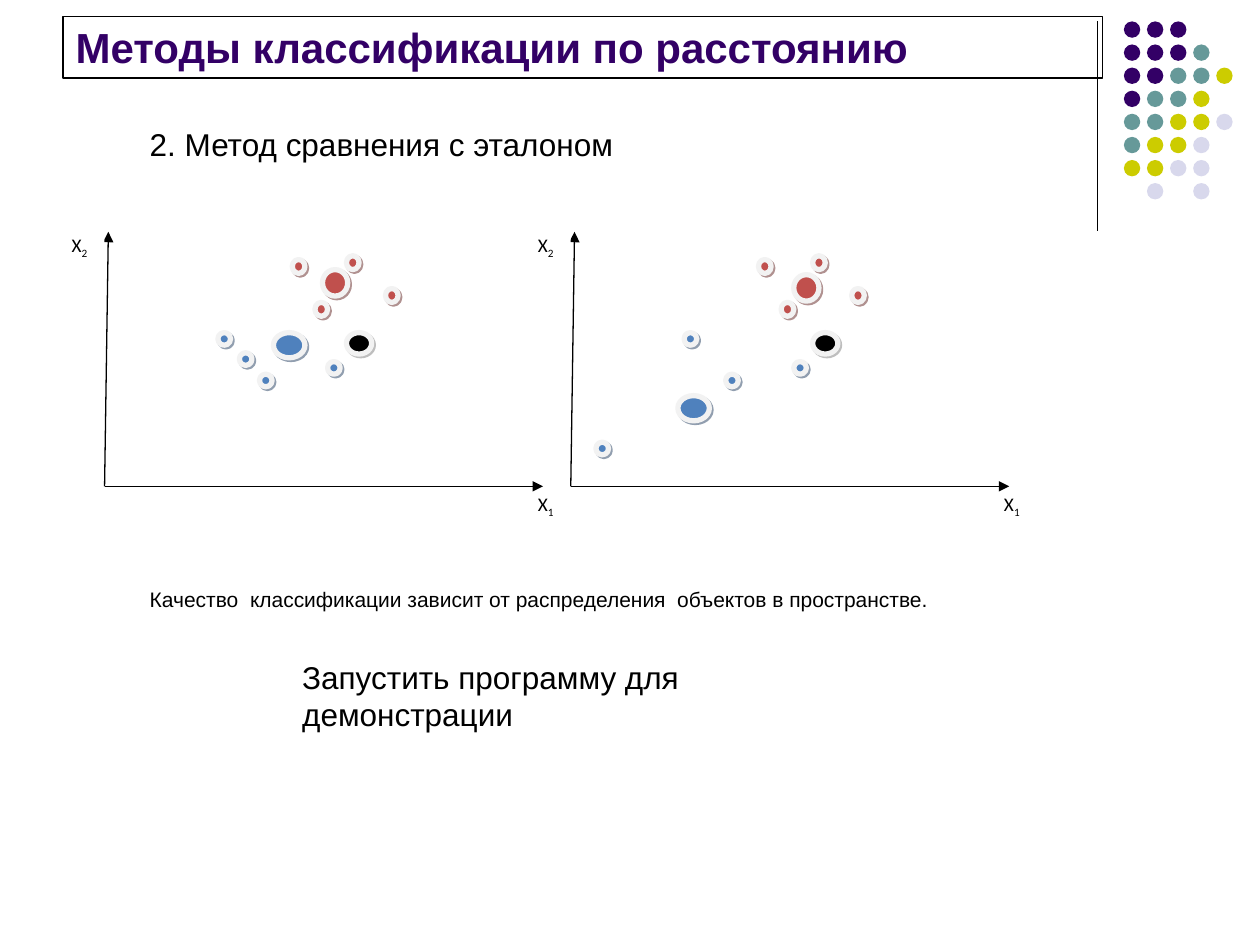
from lxml import etree
from pptx import Presentation
from pptx import util as u
from pptx.dml.color import RGBColor
from pptx.enum import shapes as sh, text as tx
from pptx.oxml.ns import qn

INK, RED, BLUE = "000000", "C0504D", "4F81BD"
SHADE = {RED: "622423", BLUE: "243F60", INK: "7F7F7F"}
# Corner pattern: one letter per dot, a space for none
CORNER = ["PPP", "PPPT", "PPTTY", "PTTY", "TTYYL", "TYYL", "YYLL", " L L"]
TINT = {"P": "330066", "T": "669999", "Y": "CCCC00", "L": "D8D8EC"}

# Points relative to each plot's left edge: x, y, width, height, colour
SHARED = [
    (1.85, 2.06, 0.1, 0.11, RED), (1.26, 2.64, 0.1, 0.1, BLUE),
    (2.28, 2.64, 0.2, 0.17, INK), (2.03, 2.4, 0.1, 0.11, RED),
    (2.59, 2.29, 0.1, 0.11, RED), (2.28, 2.03, 0.1, 0.11, RED),
    (1.59, 2.97, 0.1, 0.1, BLUE), (2.13, 2.87, 0.1, 0.1, BLUE),
]
LEFT = [(1.43, 2.8, 0.1, 0.1, BLUE),
        (2.09, 2.14, 0.2, 0.21, RED), (1.7, 2.64, 0.25, 0.2, BLUE)]
RIGHT = [(0.56, 3.51, 0.1, 0.1, BLUE),
         (2.13, 2.18, 0.2, 0.21, RED), (1.21, 3.14, 0.25, 0.2, BLUE)]


def rgb(code):
    return RGBColor.from_string(code)


def box(*nums):
    return [u.Inches(n) for n in nums]


def add_run(para, words, size, color=INK, face="Arial", bold=False, base=0):
    run = para.add_run()
    run.text = words
    font = run.font
    font.size, font.name, font.bold = u.Pt(size), face, bold
    font.color.rgb = rgb(color)
    if base:
        run._r.get_or_add_rPr().set("baseline", str(base * 1000))


def add_text(slide, at, words, size, wrap=True):
    frame = slide.shapes.add_textbox(*box(*at)).text_frame
    frame.word_wrap = wrap
    frame.auto_size = tx.MSO_AUTO_SIZE.SHAPE_TO_FIT_TEXT
    add_run(frame.paragraphs[0], words, size)


def add_line(slide, start, end, arrow=False):
    line = slide.shapes.add_connector(
        sh.MSO_CONNECTOR.STRAIGHT, *box(*start, *end))
    line.line.color.rgb = rgb(INK)
    line.line.width = u.Pt(0.75)
    if arrow:
        etree.SubElement(line.line._get_or_add_ln(), qn("a:tailEnd"),
                         type="triangle")
    etree.SubElement(line._element.spPr, qn("a:effectLst"))


def add_dot(slide, at, color):
    dot = slide.shapes.add_shape(sh.MSO_SHAPE.OVAL, *box(*at))
    dot.shadow.inherit = False
    dot.fill.solid()
    dot.fill.fore_color.rgb = rgb(color)
    dot.line.fill.background()
    return dot


def add_point(slide, at, color):
    dot = add_dot(slide, at, color)
    dot.line.color.rgb = rgb("F2F2F2")
    dot.line.width = u.Pt(3)
    # Hard shadow down and to the right
    effect = dot._element.spPr.find(qn("a:effectLst"))
    cast = etree.SubElement(effect, qn("a:outerShdw"), blurRad="0",
                            dist=str(u.Pt(1.4)), dir="2700000",
                            algn="ctr", rotWithShape="0")
    tone = etree.SubElement(cast, qn("a:srgbClr"), val=SHADE[color])
    etree.SubElement(tone, qn("a:alpha"), val="50000")


def add_label(slide, left, top, index, fill=False):
    label = slide.shapes.add_textbox(*box(left, top, 0.36, 0.34))
    if fill:
        label.fill.solid()
        label.fill.fore_color.rgb = rgb("FFFFFF")
    frame = label.text_frame
    frame.word_wrap = True
    para = frame.paragraphs[0]
    para.space_after = u.Pt(10)
    add_run(para, "X", 11, face="Calibri")
    add_run(para, index, 11, face="Calibri", base=-25)


def add_plot(slide, left, points):
    start = (left + 0.36, 3.86)
    add_line(slide, start, (left + 0.39, 1.84), arrow=True)
    add_line(slide, start, (left + 3.84, 3.86), arrow=True)
    add_label(slide, left + 3.7, 3.86, "1")
    add_label(slide, left, 1.8, "2", fill=True)
    for x, y, wide, high, color in SHARED + points:
        add_point(slide, (left + x, y, wide, high), color)


def add_corner(slide):
    add_line(slide, (8.71, 0.17), (8.71, 1.83))
    step = 0.55 / 3
    for row, marks in enumerate(CORNER):
        for col, mark in enumerate(marks):
            if mark in TINT:
                at = (8.92 + col * step, 0.17 + row * step, 0.13, 0.13)
                add_dot(slide, at, TINT[mark])


def set_title(slide, words):
    title = slide.shapes.title
    title.left, title.top, title.width, title.height = box(
        0.5, 0.13, 8.25, 0.49)
    title.line.color.rgb = rgb(INK)
    title.line.width = u.Pt(0.75)
    frame = title.text_frame
    frame.word_wrap = True
    frame.auto_size = tx.MSO_AUTO_SIZE.NONE
    frame.vertical_anchor = tx.MSO_ANCHOR.BOTTOM
    para = frame.paragraphs[0]
    para.alignment = tx.PP_ALIGN.LEFT
    add_run(para, words, 24, "330066", bold=True)


def main():
    prs = Presentation()
    prs.slide_width, prs.slide_height = box(10, 7.5)
    slide = prs.slides.add_slide(prs.slide_layouts[5])

    # Heading and corner ornament
    add_corner(slide)
    set_title(slide, "Методы классификации по расстоянию")
    add_text(slide, (1.09, 0.94, 6.56, 0.4),
             "2. Метод сравнения с эталоном", 18)

    # Two feature spaces
    add_plot(slide, 4.17, RIGHT)
    add_plot(slide, 0.47, LEFT)

    # Closing remarks
    add_text(slide, (1.09, 4.61, 7.5, 0.3),
             "Качество  классификации зависит от распределения  "
             "объектов в пространстве.", 12)
    add_text(slide, (2.3, 5.17, 4.93, 0.4),
             "Запустить программу для демонстрации", 18, wrap=False)
    prs.save("out.pptx")


if __name__ == "__main__":
    main()
